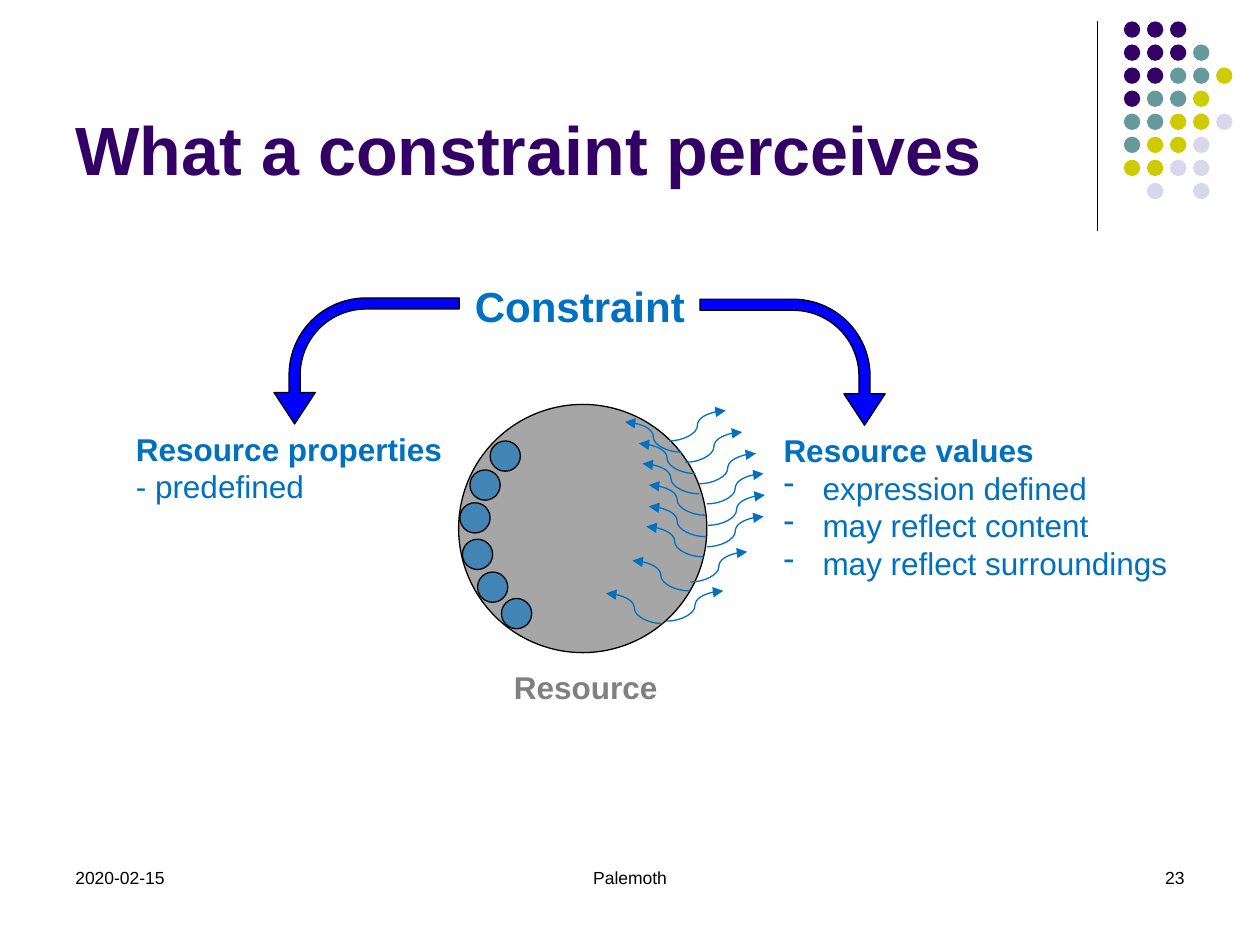
from lxml import etree
from pptx import Presentation
from pptx.dml.color import RGBColor
from pptx.enum import shapes, text
from pptx.oxml import ns
from pptx.util import Inches, Pt

BLACK = RGBColor(0x00, 0x00, 0x00)
PURPLE = RGBColor(0x33, 0x00, 0x66)
TEAL = RGBColor(0x66, 0x99, 0x99)
OLIVE = RGBColor(0xCC, 0xCC, 0x00)
LAVENDER = RGBColor(0xD8, 0xD8, 0xEC)
BLUE = RGBColor(0x00, 0x70, 0xC0)
ARROW_BLUE = RGBColor(0x00, 0x00, 0xFF)
DISC_GREY = RGBColor(0xA6, 0xA6, 0xA6)
LABEL_GREY = RGBColor(0x80, 0x80, 0x80)

DOT_COLORS = {"P": PURPLE, "T": TEAL, "O": OLIVE, "L": LAVENDER}
DOT_ROWS = ["PPP", "PPPT", "PPTTO", "PTTO", "TTOOL", "TOOL", "OOLL", " L L"]
PROPERTY_DOTS = [(0.25, 0.29), (0.09, 0.52), (0.01, 0.78),
                 (0.03, 1.07), (0.15, 1.33), (0.34, 1.54)]
OUTWARD_STARTS = [(1.67, 0.29), (1.8, 0.46), (1.91, 0.63), (1.97, 0.79),
                  (1.98, 0.96), (1.97, 1.13), (1.84, 1.41), (1.65, 1.72)]
INWARD_STARTS = [(1.77, 0.38), (1.88, 0.55), (1.91, 0.71), (1.96, 0.88),
                 (1.96, 1.05), (1.94, 1.21), (1.83, 1.48), (1.62, 1.74)]


def sub(parent, tag, **attrs):
    return etree.SubElement(parent, ns.qn(tag), **attrs)


def add_shape(s, kind, box, fill, line=None):
    sp = s.shapes.add_shape(kind, *map(Inches, box))
    sp.shadow.inherit = False
    sp.fill.solid()
    sp.fill.fore_color.rgb = fill
    if line is None:
        sp.line.fill.background()
    else:
        sp.line.color.rgb = line
        sp.line.width = Pt(0.75)
    return sp


def add_line(s, kind, start, end, color, arrow=False):
    c = s.shapes.add_connector(kind, *map(Inches, (*start, *end)))
    c.line.color.rgb = color
    c.line.width = Pt(0.75)
    if arrow:
        sub(c.line._get_or_add_ln(), "a:tailEnd", type="triangle")
    sub(c._element.spPr, "a:effectLst")


def set_font(p, size, color, bold=False):
    p.font.name = "Arial"
    p.font.size = Pt(size)
    p.font.bold = bold
    p.font.color.rgb = color


def add_text(s, box, lines, size, color, bold=False, align=text.PP_ALIGN.LEFT, wrap=False):
    tf = s.shapes.add_textbox(*map(Inches, box)).text_frame
    tf.word_wrap = wrap
    tf.text = "\n".join(lines)
    for i, p in enumerate(tf.paragraphs):
        p.alignment = align
        set_font(p, size, color, bold and i == 0)
    return tf


def add_title(s, box):
    sp = s.shapes.title
    sp.left, sp.top, sp.width, sp.height = map(Inches, box)
    tf = sp.text_frame
    tf.text = "What a constraint perceives"
    tf.auto_size = text.MSO_AUTO_SIZE.NONE
    tf.vertical_anchor = text.MSO_ANCHOR.BOTTOM
    p = tf.paragraphs[0]
    p.alignment = text.PP_ALIGN.LEFT
    set_font(p, 39, PURPLE, True)


def add_dot_pattern(s, left, top, pitch=0.183, size=0.13):
    add_line(s, shapes.MSO_CONNECTOR.STRAIGHT, (left - 0.21, top), (left - 0.21, top + 1.66), BLACK)
    for row, codes in enumerate(DOT_ROWS):
        for col, code in enumerate(codes):
            if code in DOT_COLORS:
                add_shape(s, shapes.MSO_SHAPE.OVAL,
                          (left + col * pitch, top + row * pitch, size, size), DOT_COLORS[code])


def add_footer(s, top, height):
    for left, width, content, align in [
            (0.5, 2.33, "2020-02-15", text.PP_ALIGN.LEFT),
            (3.19, 3.62, "Palemoth", text.PP_ALIGN.CENTER),
            (7.17, 2.33, "23", text.PP_ALIGN.RIGHT)]:
        add_text(s, (left, top, width, height), [content], 10, BLACK, align=align, wrap=True)


def add_resource(s, left, top, size):
    add_shape(s, shapes.MSO_SHAPE.OVAL, (left, top, size, size), DISC_GREY, BLACK)
    for x, y in PROPERTY_DOTS:
        dot = add_shape(s, shapes.MSO_SHAPE.OVAL, (left + x, top + y, 0.24, 0.24), BLUE, BLACK)
        color = dot._element.spPr.find(".//" + ns.qn("a:srgbClr"))
        sub(color, "a:alpha", val="60000")
    for starts, dx in [(OUTWARD_STARTS, 0.45), (INWARD_STARTS, -0.45)]:
        for x, y in starts:
            x, y = left + x, top + y
            add_line(s, shapes.MSO_CONNECTOR.CURVE, (x, y), (x + dx, y - 0.24), BLUE, True)
    add_text(s, (left + 0.34, top + 2.04, 1.35, 0.4), ["Resource"], 18, LABEL_GREY, True)


def add_constraint(s, left, top):
    add_text(s, (left, top, 1.88, 0.5), ["Constraint"], 24, BLUE, True)
    for dx, dy, rotation, flip in [(-1.26, -0.05, 270, True), (2.12, -0.04, 90, False)]:
        arrow = add_shape(s, shapes.MSO_SHAPE.BENT_ARROW,
                          (left + dx, top + dy, 1, 1.47), ARROW_BLUE, BLACK)
        arrow.rotation = rotation
        for i, value in enumerate((0.088, 0.164, 0.25, 0.611)):
            arrow.adjustments[i] = value
        if flip:
            arrow._element.spPr.xfrm.set("flipH", "1")


def add_properties(s, box):
    add_text(s, box, ["Resource properties", "- predefined"], 18, BLUE, True)


def add_values(s, box):
    tf = add_text(s, box, ["Resource values", "expression defined", "may reflect content",
                           "may reflect surroundings"], 18, BLUE, True)
    for p in tf.paragraphs[1:]:
        pPr = p._p.get_or_add_pPr()
        pPr.set("marL", str(Inches(0.31)))
        pPr.set("indent", str(-Inches(0.31)))
        bullet = etree.Element(ns.qn("a:buChar"), char="-")
        pPr.insert(0, bullet)


def main():
    prs = Presentation()
    prs.slide_width, prs.slide_height = Inches(10), Inches(7.5)
    s = prs.slides.add_slide(prs.slide_layouts[5])
    add_dot_pattern(s, 8.92, 0.17)
    add_title(s, (0.5, 0.13, 8.25, 1.42))
    add_footer(s, 6.83, 0.5)
    add_resource(s, 3.64, 3.21, 1.97)
    add_properties(s, (0.98, 3.36, 2.66, 0.71))
    add_values(s, (6.12, 3.37, 3.35, 1.31))
    add_constraint(s, 3.67, 2.18)
    prs.save("out.pptx")


if __name__ == "__main__":
    main()
